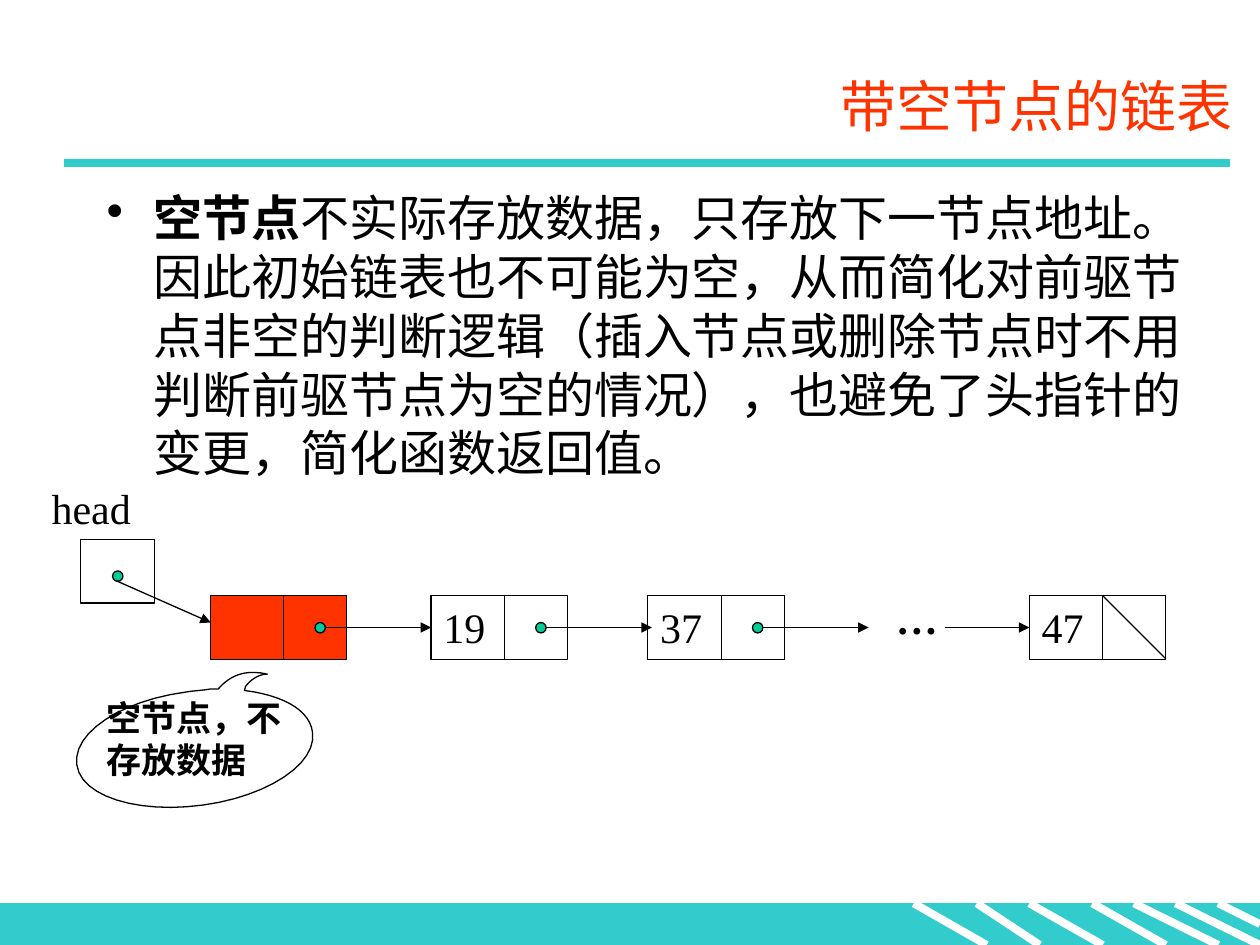
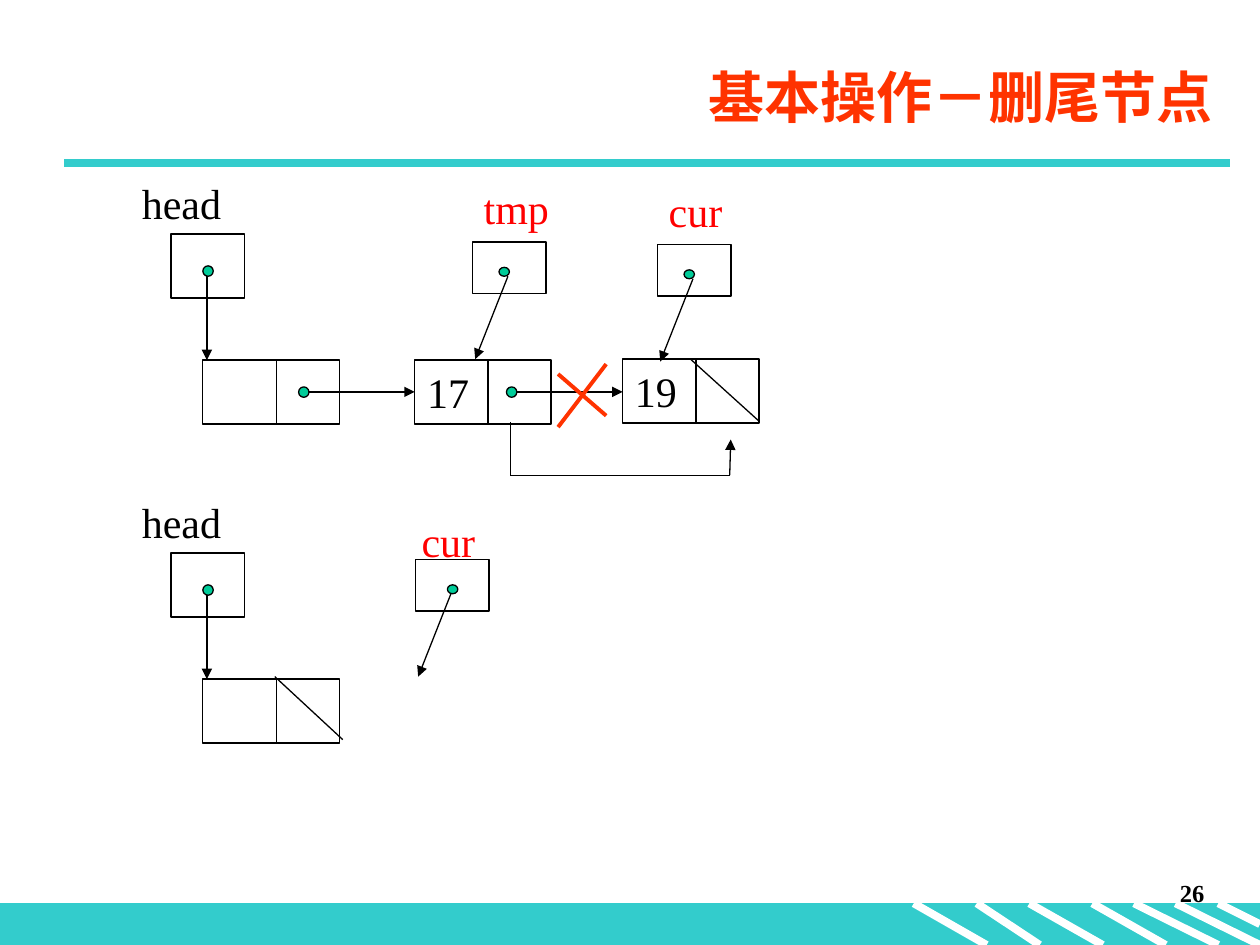
from lxml.etree import SubElement
from pptx import Presentation
from pptx.dml.color import RGBColor
from pptx.enum.shapes import MSO_CONNECTOR as Conn, MSO_SHAPE as Kind
from pptx.enum.text import MSO_ANCHOR as Anchor, MSO_AUTO_SIZE as Fit, PP_ALIGN as Align
from pptx.oxml.ns import qn
from pptx.util import Cm, Pt

HUES = {"teal": "33CCCC", "white": "FFFFFF", "black": "000000",
        "title": "FF3300", "dot": "00CC99", "red": "FF0000"}
SERIF, SANS, HAN = "Times New Roman", "Arial", "Noto Sans CJK SC"
WIDE, TALL, CUT = 2.75, 1.29, 1.48  # list node: width, height, divider


def hue(name):
    return RGBColor.from_string(HUES[name])


# Basic parts, all lengths in cm
def paint(shape, fill=None, edge="black"):
    shape.shadow.inherit = False
    if fill:
        shape.fill.solid()
        shape.fill.fore_color.rgb = hue(fill)
    else:
        shape.fill.background()
    shape.line.color.rgb = hue(edge)
    shape.line.width = Pt(0.75)


def shape(slide, kind, x, y, w, h, fill=None, edge="black"):
    item = slide.shapes.add_shape(kind, Cm(x), Cm(y), Cm(w), Cm(h))
    paint(item, fill, edge)
    return item


def line(slide, x1, y1, x2, y2, tip=False, color="black", width=0.75):
    item = slide.shapes.add_connector(Conn.STRAIGHT, Cm(x1), Cm(y1), Cm(x2), Cm(y2))
    item.line.color.rgb = hue(color)
    item.line.width = Pt(width)
    if tip:
        SubElement(item.line._get_or_add_ln(), qn("a:tailEnd"), type="triangle")
    SubElement(item._element.spPr, qn("a:effectLst"))


def write(frame, text, size=24, color="black", font=SERIF, bold=False,
          align=Align.LEFT, anchor=Anchor.TOP):
    frame.word_wrap = True
    frame.auto_size = Fit.NONE
    frame.vertical_anchor = anchor
    para = frame.paragraphs[0]
    para.add_run().text = text
    para.alignment = align
    para.font.size = Pt(size)
    para.font.bold = bold
    para.font.color.rgb = hue(color)
    para.font.name = font
    if any(mark >= "\u3000" for mark in text):  # East Asian typeface
        SubElement(para._p.pPr.find(qn("a:defRPr")), qn("a:ea"), typeface=HAN)
    return para


def label(slide, x, y, w, h, text, **look):
    box = slide.shapes.add_textbox(Cm(x), Cm(y), Cm(w), Cm(h))
    return write(box.text_frame, text, **look)


# Shared frame: title, rule, striped band
def frame(deck, text, x, y, w, h, **look):
    slide = deck.slides.add_slide(deck.slide_layouts[5])
    title = slide.shapes.title
    title.left, title.top, title.width, title.height = Cm(x), Cm(y), Cm(w), Cm(h)
    write(title.text_frame, text, size=32, color="title", align=Align.RIGHT,
          anchor=Anchor.MIDDLE, **look)
    line(slide, 1.3, 3.28, 24.79, 3.28, color="teal", width=4.5)
    band(slide, 18.21, 0.84)
    return slide


def band(slide, top, high):
    shape(slide, Kind.RECTANGLE, 0, top, 25.4, high, "teal", "teal")
    for x1, x2, part in ((18.42, 19.89, 1), (19.69, 20.96, 1), (20.75, 22.23, 1),
                         (22.02, 23.5, 1), (22.86, 24.56, 1), (23.7, 25.4, 1),
                         (24.56, 25.4, 0.5)):
        line(slide, x1, top, x2, top + high * part, color="white", width=4.5)


# Linked list parts
def dot(slide, x, y, high=0.21):
    shape(slide, Kind.OVAL, x, y, 0.21, high, "dot")


def node(slide, x, y, text="", fill=None, link=None):
    box = shape(slide, Kind.RECTANGLE, x, y, WIDE, TALL, fill)
    if text:
        write(box.text_frame, text)
    line(slide, x + CUT, y, x + CUT, y + 1.27)
    if link:  # link is the dot's offset from the left edge
        start, mid = x + link + 0.21, y + 0.64
        line(slide, start, mid, start + 2.13, mid, tip=True)
        dot(slide, x + link, mid - 0.1)


def head(slide, x, y, dx, dy):
    shape(slide, Kind.RECTANGLE, x, y, CUT, TALL)
    label(slide, x - 0.84, y - 1.27, 3.38, 1.27, "head")
    dot(slide, x + 0.64, y + 0.64)
    line(slide, x + 0.72, y + 0.84, x + dx, y + dy, tip=True)


def cursor(slide, x, y, name, left=-0.03, up=1.32, spot=0.53):
    shape(slide, Kind.RECTANGLE, x, y, CUT, 1.04)
    label(slide, x + left, y - up, 2.84, 1.27, name, color="red")
    dot(slide, x + spot, y + 0.51, 0.18)
    line(slide, x + 0.71, y + 0.69, x + 0.05, y + 2.36, tip=True)


def start(slide, x, y, link=None):
    """Head pointer above an empty node."""
    node(slide, x + 0.64, y + 2.54, link=link)
    head(slide, x, y, 0.72, 2.54)


# Speech bubble: each step is a line end or a cubic curve
def curve(a, b, c, d, steps=12):
    for i in range(1, steps + 1):
        t = i / steps
        u = 1 - t
        yield tuple(u**3 * p + 3 * u * u * t * q + 3 * u * t * t * r + t**3 * s
                    for p, q, r, s in zip(a, b, c, d))


def bubble(slide, x, y, text):
    first = (2.59, 2.64)
    steps = [
        ((1.27, 2.82), (0.13, 2.46), (0.05, 1.83)),
        ((-0.05, 1.19), (0.94, 0.53), (2.26, 0.36)),
        ((2.44, 0.33), (2.59, 0.33), (2.74, 0.3)),
        ((2.9, 0.3),),
        ((3.05, 0.13), (3.33, -0.13), (3.89, 0)),
        ((3.73, 0), (3.56, 0.1), (3.45, 0.25)),
        ((3.43, 0.33),),
        ((3.63, 0.36),),
        ((4.29, 0.48), (4.75, 0.76), (4.8, 1.17)),
        ((4.9, 1.8), (3.91, 2.46), first),
    ]
    dots = [first]
    for step in steps:
        dots.extend(curve(dots[-1], *step) if len(step) == 3 else step)
    ends = [(Cm(x + a), Cm(y + b)) for a, b in dots]
    pen = slide.shapes.build_freeform(*ends[0])
    pen.add_line_segments(ends[1:], close=True)
    paint(pen.convert_to_shape(), "white")
    para = label(slide, x + 0.4, y + 0.33, 4.45, 1.96, text, size=20, bold=True)
    para.line_spacing = Pt(24)


def bullet(slide, x, y, w, h, lead, text):
    para = label(slide, x, y, w, h, lead, size=28, font=SANS)
    para.runs[0].font.bold = True
    para.add_run().text = text
    para.line_spacing = Pt(33.6)
    props = para._p.pPr
    props.set("marL", str(Cm(0.95)))
    props.set("indent", str(-Cm(0.95)))
    mark = SubElement(props, qn("a:buChar"), char="•")
    props.find(qn("a:defRPr")).addprevious(mark)


# Slide 1: list with an empty first node
def empty(deck):
    slide = frame(deck, "带空节点的链表", 3.5, 1.12, 21.6, 2, font=SANS)
    bullet(slide, 1.9, 3.66, 22.61, 8, "空节点",
           "不实际存放数据，只存放下一节点地址。因此初始链表也不可能为空，"
           "从而简化对前驱节点非空的判断逻辑（插入节点或删除节点时不用判断"
           "前驱节点为空的情况），也避免了头指针的变更，简化函数返回值。")
    top = 12.01
    node(slide, 4.24, top, fill="title", link=2.11)
    node(slide, 8.69, top, "19", link=2.11)
    node(slide, 13.06, top, "37", link=2.11)
    label(slide, 17.81, 11.81, 1.9, 1.27, "…", bold=True)
    line(slide, 19.05, top + 0.64, 20.75, top + 0.64, tip=True)
    node(slide, 20.75, top, "47")
    line(slide, 20.75 + CUT, top, 20.75 + WIDE, top + 1.27)
    head(slide, 1.63, 10.87, 2.62, 1.68)
    bubble(slide, 1.5, 13.59, "空节点，不存放数据")


# Slide 2: removing the last node
def remove(deck):
    slide = frame(deck, "基本操作－删尾节点", 11.91, 1.12, 12.8, 1.63,
                  font=HAN, bold=True)
    label(slide, 19.25, 17.58, 5.28, 1.27, "26", size=14, bold=True,
          align=Align.RIGHT)
    # Before
    start(slide, 3.45, 4.72, link=1.93)
    cursor(slide, 9.53, 4.88, "tmp")
    cursor(slide, 13.26, 4.93, "cur")
    node(slide, 8.36, 7.26, "17", link=1.85)
    node(slide, 12.55, 7.24, "19")
    line(slide, 13.92, 7.24, 15.29, 8.48)
    # Cut link and its detour
    for ends in ((12.22, 7.34, 11.25, 8.61), (11.25, 7.54, 12.22, 8.38)):
        line(slide, *ends, color="title", width=2.25)
    line(slide, 10.29, 8.51, 10.29, 9.58)
    line(slide, 10.29, 9.58, 14.71, 9.58)
    line(slide, 14.71, 9.58, 14.73, 8.86, tip=True)
    # After
    start(slide, 3.45, 11.15)
    line(slide, 5.54, 13.64, 6.91, 14.91)
    cursor(slide, 8.38, 11.28, "cur", left=-0.13, up=1.02, spot=0.64)


def main():
    deck = Presentation()
    deck.slide_width, deck.slide_height = Cm(25.4), Cm(19.05)
    empty(deck)
    remove(deck)
    deck.save("out.pptx")


if __name__ == "__main__":
    main()
